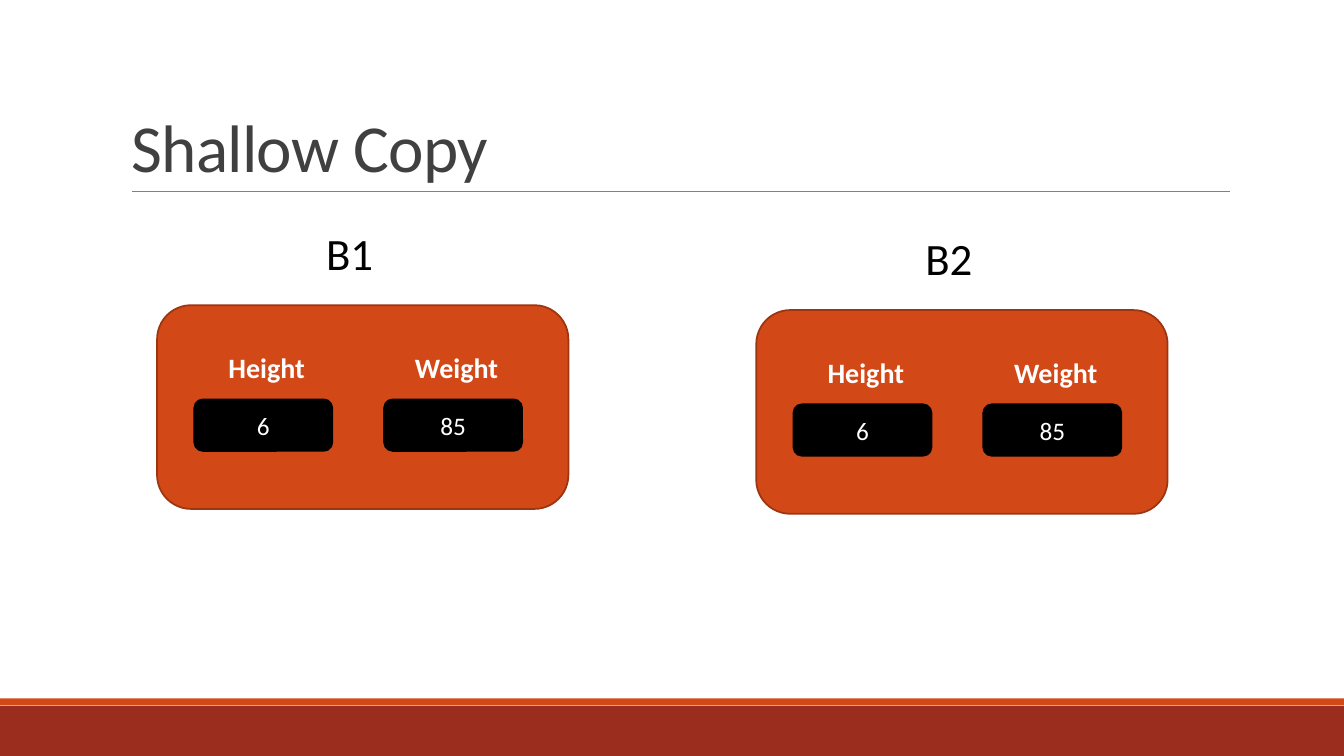
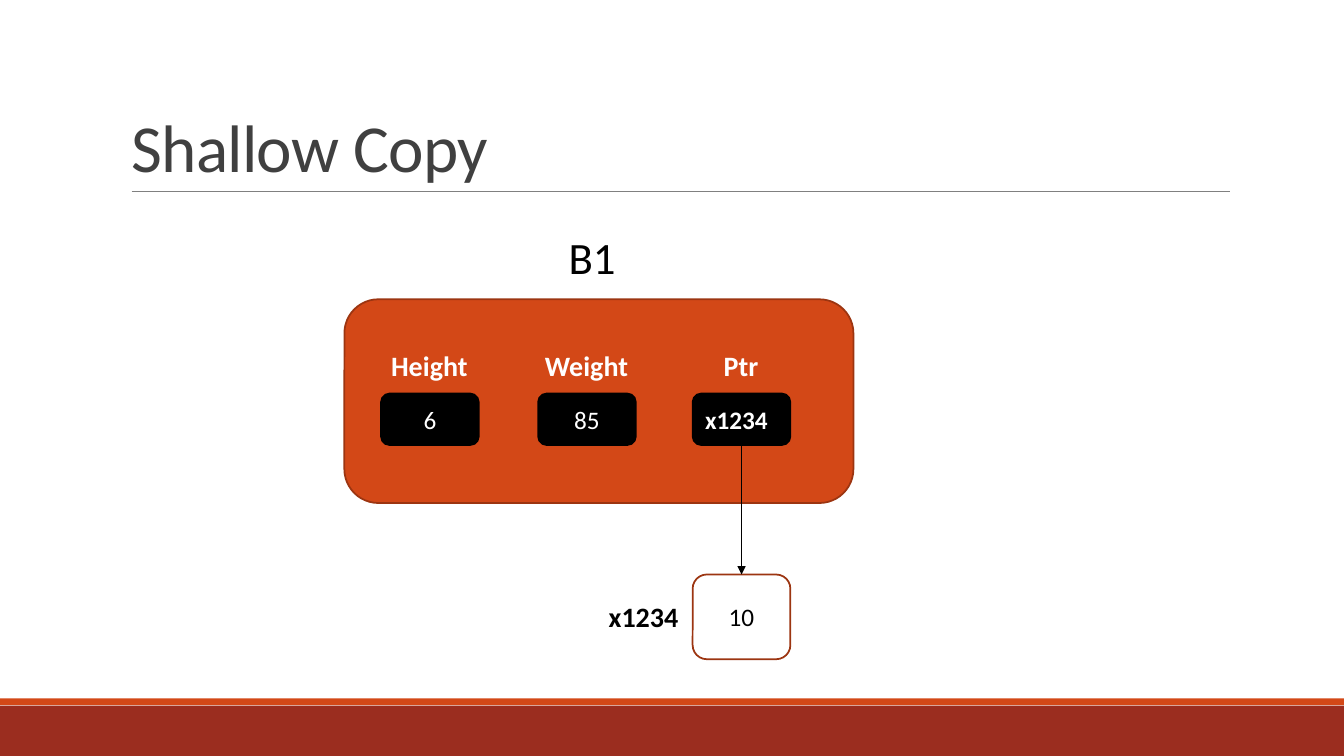
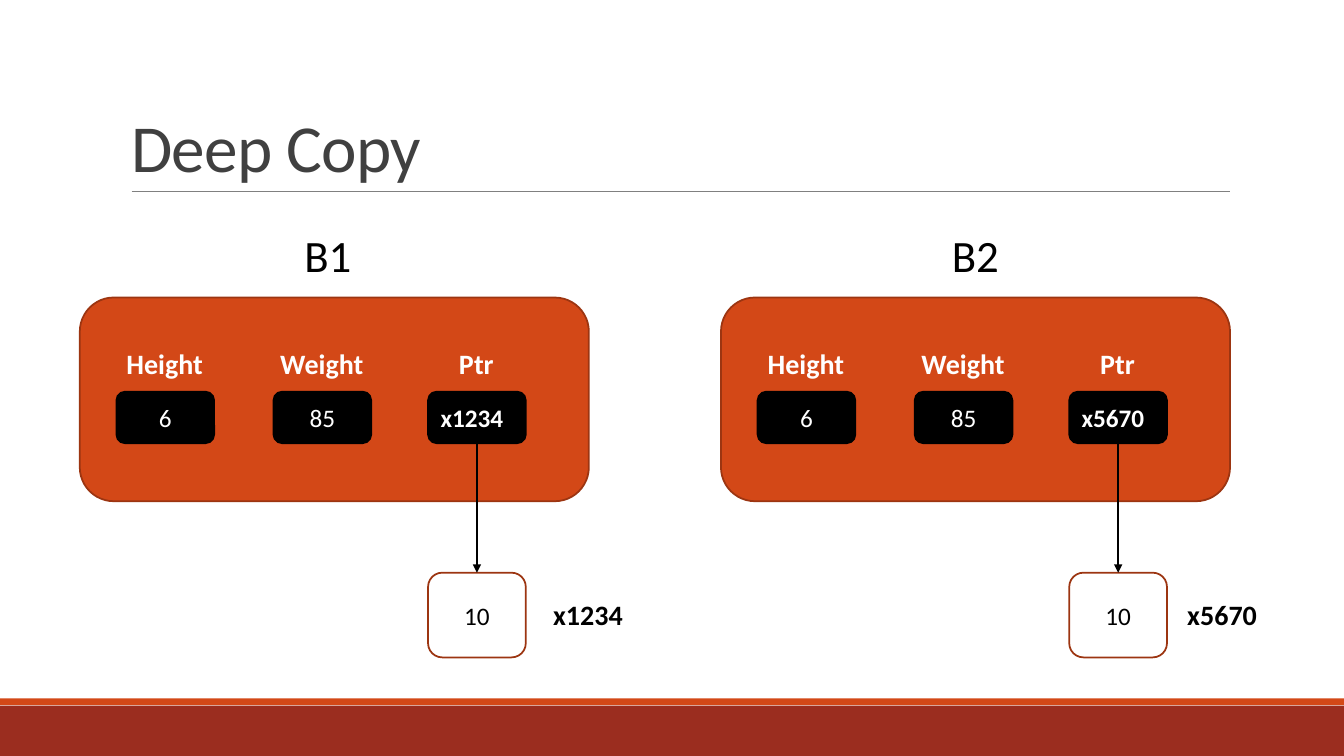
"""Build three slides that compare shallow and deep copies of an object."""
from lxml.etree import SubElement
from pptx import Presentation
from pptx.dml.color import RGBColor
from pptx.enum.shapes import MSO_CONNECTOR as Connector, MSO_SHAPE as Shape
from pptx.enum.text import MSO_ANCHOR as Anchor, MSO_AUTO_SIZE as AutoSize, PP_ALIGN as Align
from pptx.oxml.ns import qn
from pptx.util import Pt

COLORS = {
    "orange": "D34817", "rust": "9C3511", "brick": "9B2D1F", "gray": "808080",
    "charcoal": "404040", "black": "000000", "white": "FFFFFF",
}
FONT = "Calibri"
CARD_HEIGHT = 145.5
CELL_TOP, CELL_HEIGHT = 67.3, 36.8
TARGET_TOP, TARGET_HEIGHT = 196.6, 60.5
PLAIN = {
    "width": 293.8, "cell_width": 98.6, "cells": (26.6, 162.2),
    "label_shift": 2.4, "label_top": 28.8, "name_top": -60.5,
}
POINTER = {
    "width": 363.6, "cell_width": 69.8, "cells": (26.2, 138.4, 248.8),
    "label_shift": -0.4, "label_top": 31.8, "name_top": -53.3,
}


def rgb(name):
    return RGBColor.from_string(COLORS[name])


def write_text(shape, text, *, size=18, color="black", bold=False, align=Align.CENTER,
               anchor=Anchor.MIDDLE, wrap=True, line_spacing=None, tracking=None):
    frame = shape.text_frame
    frame.word_wrap = wrap
    frame.vertical_anchor = anchor
    if not wrap:
        frame.auto_size = AutoSize.SHAPE_TO_FIT_TEXT
    para = frame.paragraphs[0]
    para.alignment = align
    para.line_spacing = line_spacing
    span = para.add_run()
    span.text = text
    span.font.name = FONT
    span.font.size = Pt(size)
    span.font.bold = bold
    span.font.color.rgb = rgb(color)
    if tracking is not None:
        span.font._element.set("spc", str(round(tracking * 100)))


def add_text(page, text, left, top, width, height, **style):
    box = page.shapes.add_textbox(Pt(left), Pt(top), Pt(width), Pt(height))
    write_text(box, text, **style)


def add_label(page, text, center, top, width=80, height=31.7, **style):
    add_text(page, text, center - width / 2, top, width, height,
             anchor=Anchor.TOP, wrap=False, **style)


def add_block(page, kind, left, top, width, height, fill, line=None):
    block = page.shapes.add_shape(kind, Pt(left), Pt(top), Pt(width), Pt(height))
    block.shadow.inherit = False
    block.fill.solid()
    block.fill.fore_color.rgb = rgb(fill)
    if line:
        block.line.color.rgb = rgb(line)
        block.line.width = Pt(1.25)
    else:
        block.line.fill.background()
    return block


def add_line(page, start, end, color, width):
    line = page.shapes.add_connector(Connector.STRAIGHT, *map(Pt, start + end))
    line.line.color.rgb = rgb(color)
    line.line.width = Pt(width)
    SubElement(line._element.spPr, qn("a:effectLst"))
    return line


def add_arrow(page, source, target):
    arrow = add_line(page, (0, 0), (0, 0), "black", 1.25)
    arrow.begin_connect(source, 2)
    arrow.end_connect(target, 0)
    SubElement(arrow.line._get_or_add_ln(), qn("a:tailEnd"), type="triangle")


def add_page(deck, title):
    page = deck.slides.add_slide(deck.slide_layouts[6])
    add_block(page, Shape.RECTANGLE, 0, 504, 960, 36, "brick")
    add_block(page, Shape.RECTANGLE, 0, 498.8, 960, 5, "orange")
    add_line(page, (94, 136.8), (878.8, 136.8), "gray", 0.5)
    add_text(page, title, 86.8, 22.6, 792, 114.2, size=48, color="charcoal",
             align=Align.LEFT, anchor=Anchor.BOTTOM, line_spacing=0.85, tracking=-0.5)
    return page


def add_object(page, name, left, top, name_center, layout, address=None, address_center=None):
    cell_width = layout["cell_width"]
    add_block(page, Shape.ROUNDED_RECTANGLE, left, top, layout["width"], CARD_HEIGHT,
              "orange", "rust")
    add_label(page, name, left + name_center, top + layout["name_top"], height=46, size=32)
    fields = (("Height", "6"), ("Weight", "85"), ("Ptr", address))
    for offset, (label, value) in zip(layout["cells"], fields):
        cell_left = left + offset
        is_pointer = label == "Ptr"
        add_label(page, label, cell_left + cell_width / 2 + layout["label_shift"],
                  top + layout["label_top"], size=20, color="white", bold=True)
        cell = add_block(page, Shape.ROUNDED_RECTANGLE, cell_left, top + CELL_TOP,
                         cell_width, CELL_HEIGHT, "black", "black")
        write_text(cell, value, color="white", bold=is_pointer,
                   align=Align.LEFT if is_pointer else Align.CENTER)
        if is_pointer:
            target = add_block(page, Shape.ROUNDED_RECTANGLE, cell_left, top + TARGET_TOP,
                               cell_width, TARGET_HEIGHT, "white", "rust")
            write_text(target, "10")
            add_arrow(page, cell, target)
            add_label(page, address, left + address_center, top + 211, size=20, bold=True)


def main():
    deck = Presentation()
    deck.slide_width, deck.slide_height = Pt(960), Pt(540)

    page = add_page(deck, "Shallow Copy")
    add_object(page, "B1", 112.2, 218, 137.6, PLAIN)
    add_object(page, "B2", 540.2, 221.5, 137.6, PLAIN)

    page = add_page(deck, "Shallow Copy")
    add_object(page, "B1", 246, 213.8, 177, POINTER, "x1234", 213.7)

    page = add_page(deck, "Deep Copy")
    add_object(page, "B1", 57, 212.5, 177.2, POINTER, "x1234", 363)
    add_object(page, "B2", 515, 212.5, 181.8, POINTER, "x5670", 358)

    deck.save("out.pptx")


if __name__ == "__main__":
    main()
